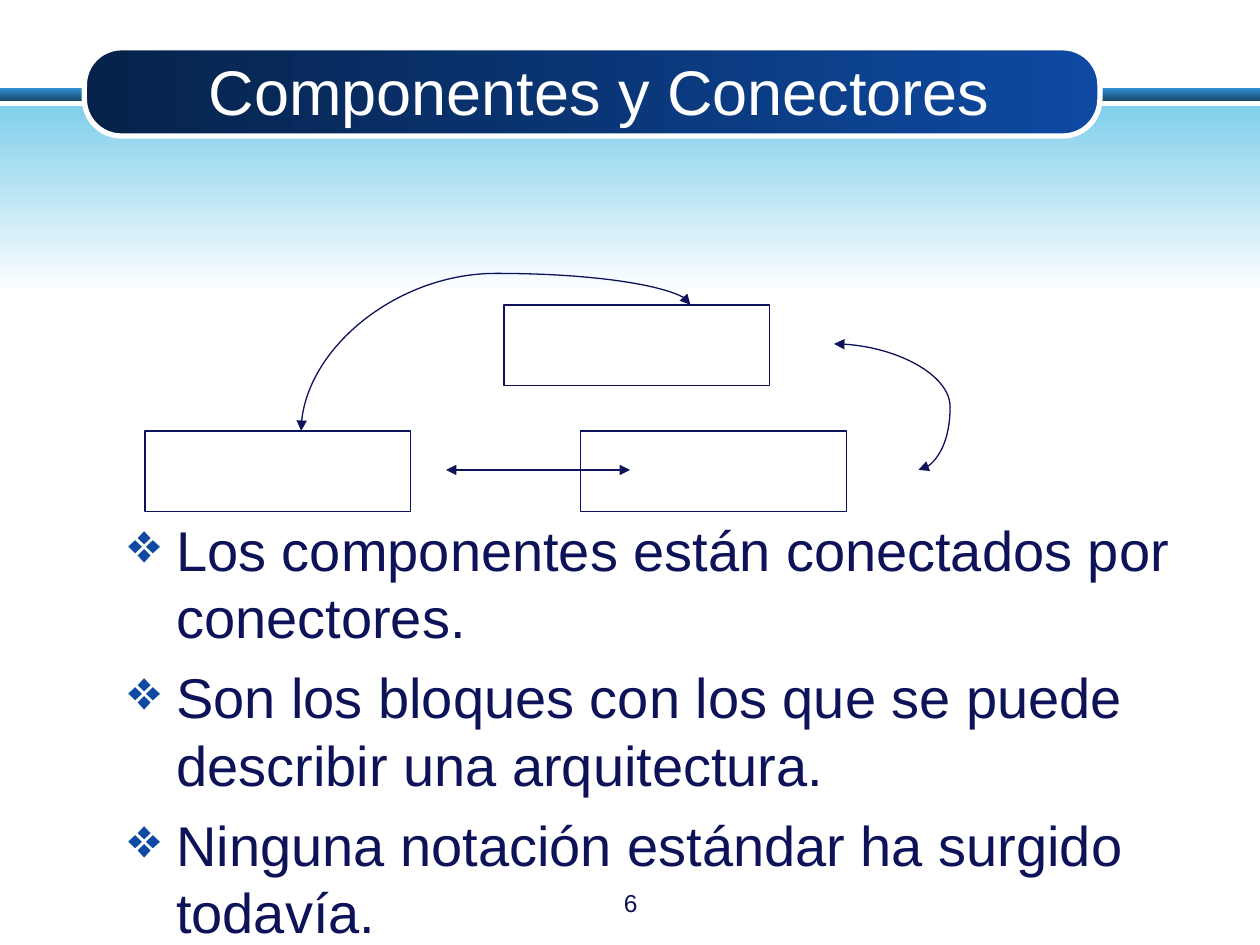
"""Build the slide on components and connectors."""
from lxml.etree import SubElement as Sub
from pptx import Presentation
from pptx.dml.color import RGBColor as RGB
from pptx.enum.shapes import MSO_CONNECTOR as Link, MSO_SHAPE as Shape
from pptx.enum.text import MSO_ANCHOR as Anchor, PP_ALIGN as Align
from pptx.oxml.ns import qn
from pptx.util import Inches, Pt

HUES = {"ink": "0D1259", "white": "FFFFFF", "mark": "0E4AA2",
        "bar": "3191D3", "bar_end": "184A6B", "sky": "81CFEB",
        "navy": "06224A"}
TITLE = "Componentes y Conectores"
POINTS = [
    "Los componentes están conectados por conectores.",
    "Son los bloques con los que se puede describir una arquitectura.",
    "Ninguna notación estándar ha surgido todavía.",
]
PAGE = "6"
BANDS = [
    (Shape.RECTANGLE, (0, 0.7, 10, 0.1), ("bar", "bar_end"), 270),
    (Shape.RECTANGLE, (0, 0.84, 10, 1.49), ("sky", "white"), 270),
    (Shape.ROUNDED_RECTANGLE, (0.67, 0.38, 8.06, 0.7), ("navy", "mark"), 0),
]
BOXES = [(1.15, 3.42), (4.61, 3.42), (4, 2.42)]
BOX_SIZE = (2.11, 0.64)
LINKS = [
    ((5, 3.73), (3.54, 3.73), None, False),
    ((7.29, 3.73), (6.62, 2.73), -0.375, False),
    ((5.48, 2.42), (2.39, 3.42), -0.25, True),
]


def hue(name):
    return RGB.from_string(HUES[name])


def edge(item, name, width):
    item.line.color.rgb = hue(name)
    item.line.width = Pt(width)


def add_band(slide, kind, area, hues, angle):
    band = slide.shapes.add_shape(kind, *map(Inches, area))
    band.shadow.inherit = False
    band.fill.gradient()
    band.fill.gradient_angle = angle
    for stop, name, pos in zip(band.fill.gradient_stops, hues, (0, 1)):
        stop.color.rgb = hue(name)
        stop.position = pos
    if kind == Shape.ROUNDED_RECTANGLE:
        band.adjustments[0] = 0.42
        edge(band, "white", 3)
    else:
        band.line.fill.background()


def add_box(slide, spot):
    box = slide.shapes.add_shape(Shape.RECTANGLE, *map(Inches, spot + BOX_SIZE))
    box.shadow.inherit = False
    box.fill.solid()
    box.fill.fore_color.rgb = hue("white")
    edge(box, "ink", 0.75)


def add_link(slide, start, end, bend, turned):
    kind = Link.STRAIGHT if bend is None else Link.CURVE
    ends = start + end
    if turned:
        mid_x, mid_y = (start[0] + end[0]) / 2, (start[1] + end[1]) / 2
        half_w, half_h = abs(end[1] - start[1]) / 2, abs(end[0] - start[0]) / 2
        ends = (mid_x + half_w, mid_y + half_h, mid_x - half_w, mid_y - half_h)
    link = slide.shapes.add_connector(kind, *map(Inches, ends))
    edge(link, "ink", 0.75)
    props = link._element.spPr
    if turned:
        props.find(qn("a:xfrm")).set("rot", str(270 * 60000))
    if bend is not None:
        guides = props.find(qn("a:prstGeom")).find(qn("a:avLst"))
        Sub(guides, qn("a:gd"), name="adj1", fmla=f"val {round(bend * 100000)}")
    line = props.find(qn("a:ln"))
    for tip in ("a:headEnd", "a:tailEnd"):
        Sub(line, qn(tip), type="triangle")
    Sub(props, qn("a:effectLst"))


def add_text(slide, area, lines, size, name, align, anchor=Anchor.TOP):
    frame = slide.shapes.add_textbox(*map(Inches, area)).text_frame
    frame.word_wrap = True
    frame.vertical_anchor = anchor
    frame.text = "\n".join(lines)
    for para in frame.paragraphs:
        para.alignment = align
        para.font.name = "Arial"
        para.font.size = Pt(size)
        para.font.color.rgb = hue(name)
    return frame


def add_mark(para):
    para.space_after = Pt(7.5)
    props = para._p.get_or_add_pPr()
    props.set("marL", str(Inches(0.38)))
    props.set("indent", str(-Inches(0.38)))
    tint = props.makeelement(qn("a:buClr"), {})
    Sub(tint, qn("a:srgbClr"), val=HUES["mark"])
    char = props.makeelement(qn("a:buChar"), {"char": "❖"})
    rest = props.find(qn("a:defRPr"))
    for part in (tint, char):
        rest.addprevious(part)


def main():
    deck = Presentation()
    deck.slide_width, deck.slide_height = Inches(10), Inches(7.5)
    slide = deck.slides.add_slide(deck.slide_layouts[6])
    for band in BANDS:
        add_band(slide, *band)
    add_text(slide, (3.42, 7, 3.17, 0.35), [PAGE], 14, "ink", Align.CENTER)
    for spot in BOXES:
        add_box(slide, spot)
    for link in LINKS:
        add_link(slide, *link)
    add_text(slide, (0.92, 0.41, 7.67, 0.62), [TITLE], 36, "white",
             Align.CENTER, Anchor.MIDDLE)
    body = add_text(slide, (0.92, 4.04, 8.5, 3.4), POINTS, 32, "ink", Align.LEFT)
    for para in body.paragraphs:
        add_mark(para)
    deck.save("out.pptx")


if __name__ == "__main__":
    main()
